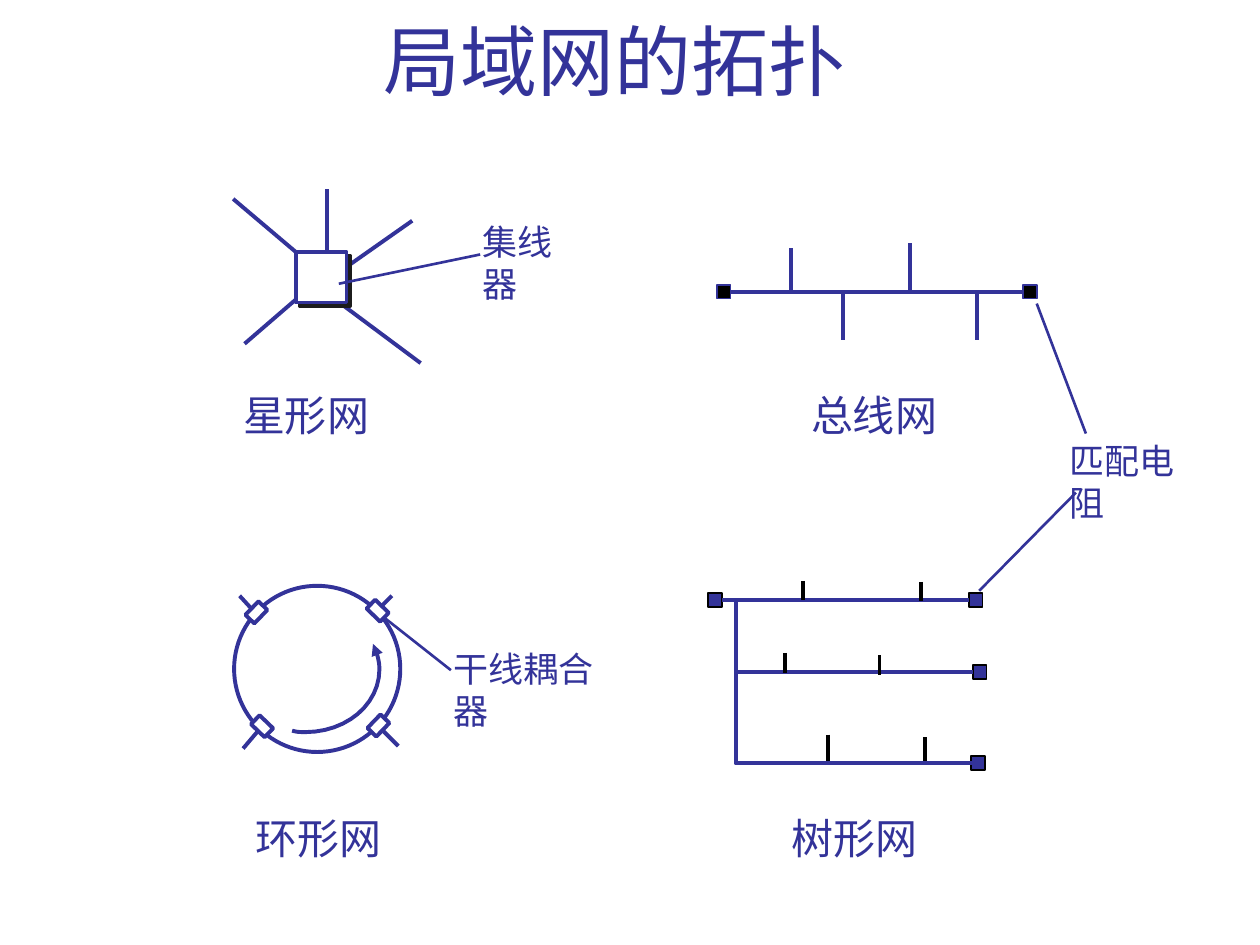
from lxml import etree
from pptx import Presentation
from pptx import util as u
from pptx.dml.color import RGBColor
from pptx.enum import shapes, text
from pptx.oxml import ns

INDIGO, BLACK, WHITE = "333399", "000000", "FFFFFF"
color = RGBColor.from_string

presentation = Presentation()
presentation.slide_width, presentation.slide_height = u.Cm(25.4), u.Cm(19.05)
slide = presentation.slides.add_slide(presentation.slide_layouts[6])


def add_line(x1, y1, x2, y2, width=2.25, stroke=INDIGO):
    line = slide.shapes.add_connector(
        shapes.MSO_CONNECTOR.STRAIGHT, u.Cm(x1), u.Cm(y1), u.Cm(x2), u.Cm(y2))
    line.line.color.rgb = color(stroke)
    line.line.width = u.Pt(width)
    etree.SubElement(line._element.spPr, ns.qn("a:effectLst"))
    return line


def add_box(x, y, w, h, fill=WHITE, stroke=INDIGO, width=2.25,
            kind=shapes.MSO_SHAPE.RECTANGLE):
    shape = slide.shapes.add_shape(kind, u.Cm(x), u.Cm(y), u.Cm(w), u.Cm(h))
    shape.shadow.inherit = False
    shape.fill.solid()
    shape.fill.fore_color.rgb = color(fill)
    shape.line.color.rgb = color(stroke)
    shape.line.width = u.Pt(width)
    return shape


# Star network: spokes, then the hub with its hard shadow
for spoke in [(6.2, 5.28, 4.7, 4.01), (6.6, 5.28, 6.6, 3.81), (6.1, 5.92, 4.93, 6.93),
              (6.6, 5.92, 8.48, 7.32), (6.83, 5.49, 8.31, 4.45)]:
    add_line(*spoke)
hub = add_box(5.97, 5.08, 1.02, 1.02, width=2)
effects = hub._element.spPr.find(ns.qn("a:effectLst"))
shadow = etree.SubElement(effects, ns.qn("a:outerShdw"), dist=str(u.Pt(2.8)),
                          dir="2700000", algn="ctr", rotWithShape="0")
etree.SubElement(shadow, ns.qn("a:srgbClr"), val="1C1C1C")

# Bus network: terminators, bus and taps
bus_left, bus_right = [add_box(x, 5.74, 0.28, 0.28, BLACK, INDIGO, 1) for x in (14.45, 20.62)]
bus = add_line(14.73, 5.88, 20.62, 5.88)
bus.begin_connect(bus_left, 3)
bus.end_connect(bus_right, 1)
for x, y in [(15.95, 5), (16.99, 6.86), (18.34, 4.9), (19.69, 6.86)]:
    add_line(x, 5.9, x, y)

# Tree network: terminators, branches and taps
root, top_end, middle_end, bottom_end = [
    add_box(x, y, 0.28, 0.28, INDIGO, BLACK, 1)
    for x, y in [(14.27, 11.96), (19.53, 11.96), (19.61, 13.41), (19.58, 15.24)]]
top_branch = add_line(14.55, 12.1, 19.53, 12.1)
top_branch.begin_connect(root, 3)
top_branch.end_connect(top_end, 1)
middle_branch = add_line(14.88, 13.55, 19.61, 13.55)
middle_branch.end_connect(middle_end, 1)
for x, y1, y2 in [(16.18, 11.71, 12.09), (18.57, 11.73, 12.12), (15.82, 13.16, 13.56),
                  (17.73, 13.21, 13.61), (16.69, 14.81, 15.39), (18.64, 14.86, 15.37)]:
    add_line(x, y1, x, y2, stroke=BLACK)

# Ring network: stubs, ring and trunk couplers
for stub in [(5.16, 12.37, 4.83, 12.01), (7.9, 12.01, 7.59, 12.32),
             (8.03, 15.04, 7.65, 14.66), (5.18, 14.76, 4.9, 15.09)]:
    add_line(*stub)
add_box(4.72, 11.81, 3.35, 3.35, kind=shapes.MSO_SHAPE.OVAL)
for coupler in [(4.98, 12.22, 0.38, 0.25), (7.44, 14.5, 0.38, 0.25),
                (7.49, 12.12, 0.25, 0.38), (5.16, 14.45, 0.25, 0.38)]:
    add_box(*coupler).rotation = 314

# Direction arrow, sampled from three Bézier curves
curves = [[(5.89, 14.73), (5.99, 14.76), (6.07, 14.76), (6.15, 14.76)],
          [(6.15, 14.76), (6.99, 14.76), (7.65, 14.2), (7.65, 13.49)],
          [(7.65, 13.49), (7.65, 13.31), (7.59, 13.13), (7.52, 12.98)]]
arc = [curves[0][0]]
for curve in curves:
    for step in range(1, 13):
        t = step / 12
        weights = ((1 - t) ** 3, 3 * t * (1 - t) ** 2, 3 * t ** 2 * (1 - t), t ** 3)
        arc.append(tuple(sum(w * p[axis] for w, p in zip(weights, curve)) for axis in (0, 1)))

# Open outlines: tree trunk with bottom branch, and the direction arrow
trunk = [(14.83, 12.12), (14.83, 15.39), (19.66, 15.39)]
for points in (trunk, arc):
    (start_x, start_y), *rest = [(u.Cm(x), u.Cm(y)) for x, y in points]
    builder = slide.shapes.build_freeform(start_x, start_y)
    builder.add_line_segments(rest, close=False)
    outline = builder.convert_to_shape()
    outline.shadow.inherit = False
    outline.fill.background()
    outline.line.color.rgb = color(INDIGO)
    outline.line.width = u.Pt(2.25)
etree.SubElement(outline.line._get_or_add_ln(), ns.qn("a:tailEnd"), type="triangle")

# Callout lines
for callout in [(20.9, 6.12, 21.89, 8.74), (21.69, 9.93, 19.74, 11.91),
                (7.77, 12.47, 9.09, 13.51), (6.83, 5.72, 9.68, 5.13)]:
    add_line(*callout, width=1.5)

# Title, callouts and captions
CALLOUT, CAPTION = (20, "Times New Roman"), (24, "Noto Sans CJK SC")
for words, x, y, w, h, (size, font_name) in [
        ("局域网的拓扑 ", 3.05, 0.13, 19.05, 2.13, (44, "Arial")),
        ("匹配电阻", 21.31, 8.74, 3.3, 1.09, CALLOUT),
        ("集线器", 9.47, 4.32, 2.6, 1.09, CALLOUT),
        ("干线耦合器", 8.89, 12.93, 4, 1.09, CALLOUT),
        ("总线网", 16.1, 7.72, 3.1, 1.27, CAPTION),
        ("星形网", 4.65, 7.72, 3.1, 1.27, CAPTION),
        ("树形网", 15.7, 16.26, 3.48, 1.27, CAPTION),
        ("环形网", 4.9, 16.26, 3.1, 1.27, CAPTION)]:
    frame = slide.shapes.add_textbox(u.Cm(x), u.Cm(y), u.Cm(w), u.Cm(h)).text_frame
    frame.word_wrap = True
    paragraph = frame.paragraphs[0]
    paragraph.text = words
    paragraph.font.size = u.Pt(size)
    paragraph.font.name = font_name
    paragraph.font.color.rgb = color(INDIGO)
    if size == 44:
        frame.vertical_anchor = text.MSO_ANCHOR.BOTTOM
        paragraph.alignment = text.PP_ALIGN.CENTER

presentation.save("out.pptx")
